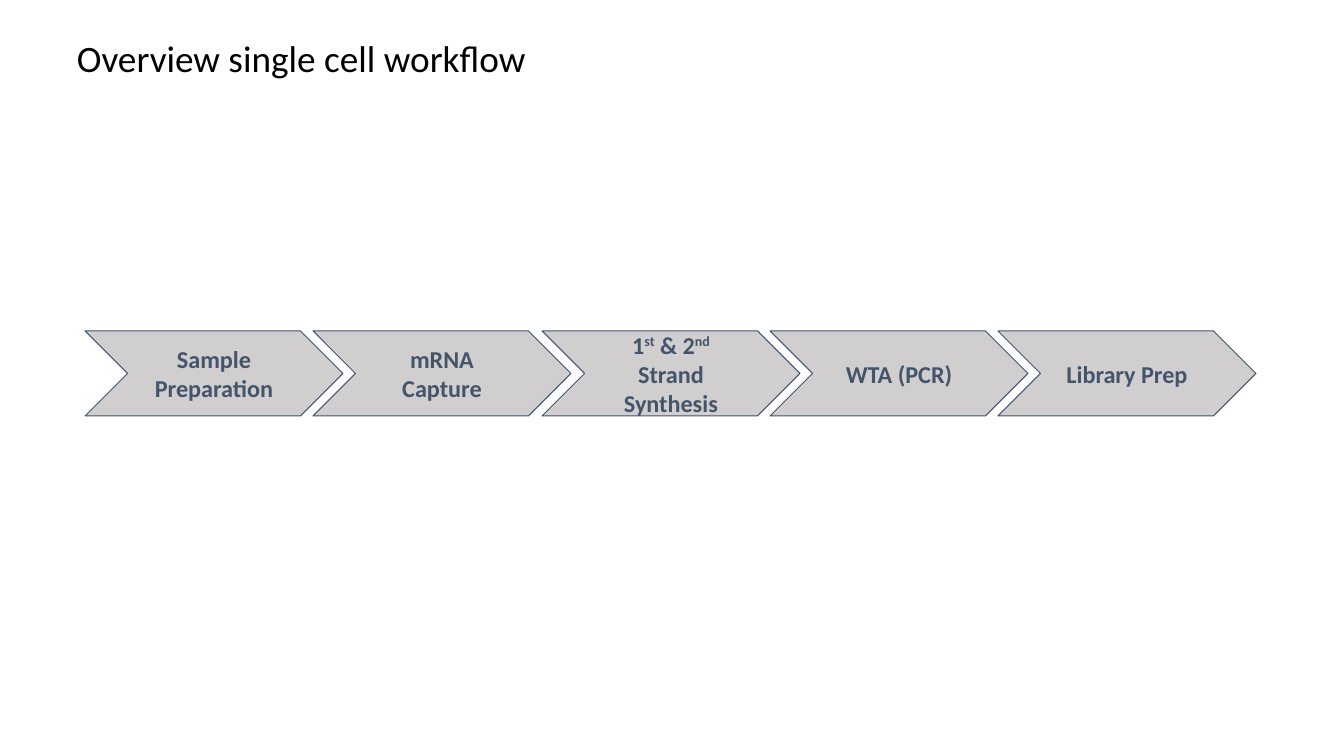
from pptx import Presentation, util as u
from pptx.dml.color import RGBColor
from pptx.enum import shapes, text

PX = 914400 / 100.8  # EMU in one px

BLACK = RGBColor(0x00, 0x00, 0x00)
SLATE = RGBColor(0x44, 0x54, 0x6A)
GREY = RGBColor(0xD0, 0xCE, 0xCE)


def px(*lengths):
    return [u.Emu(round(length * PX)) for length in lengths]


TITLE_FONT = {"name": "Calibri", "size": u.Pt(26.67), "bold": False}
STEP_FONT = {"name": "Calibri", "size": u.Pt(17.3), "bold": True}
TITLE_FRAME = {"word_wrap": True, "vertical_anchor": text.MSO_ANCHOR.MIDDLE}
STEP_INSETS = dict(zip(
    ("margin_left", "margin_top", "margin_right", "margin_bottom"),
    px(15, 13, 15, 13)))
STEP_FRAME = {**TITLE_FRAME, **STEP_INSETS}

# Each step is a list of (words, is superscript)
STEPS = [
    [("Sample Preparation", False)],
    [("mRNA Capture", False)],
    [("1", False), ("st", True), (" & 2", False), ("nd ", True),
     ("Strand Synthesis", False)],
    [("WTA (PCR)", False)],
    [("Library Prep", False)],
]
FIRST_LEFT, LAST_LEFT = 85, 998
STEP_TOP, STEP_WIDTH, STEP_HEIGHT = 331, 258, 85


def apply(target, formats):
    for name, value in formats.items():
        setattr(target, name, value)


def add_words(paragraph, words, formats, color, **marks):
    run = paragraph.add_run()
    run.text = words
    apply(run.font, formats)
    run.font.color.rgb = color
    for name, value in marks.items():
        run._r.get_or_add_rPr().set(name, value)


def add_title(slide, words):
    title = slide.shapes.add_textbox(*px(67, 20, 1210, 81))
    apply(title.text_frame, TITLE_FRAME)
    line = title.text_frame.paragraphs[0]
    line.line_spacing = 0.9
    add_words(line, words, TITLE_FONT, BLACK, kern="1200")


def add_step(slide, left, label):
    step = slide.shapes.add_shape(
        shapes.MSO_SHAPE.CHEVRON, *px(left, STEP_TOP, STEP_WIDTH, STEP_HEIGHT))
    step.shadow.inherit = False
    step.adjustments[0] = 0.5
    step.fill.solid()
    step.fill.fore_color.rgb = GREY
    step.line.color.rgb = SLATE
    step.line.width = u.Pt(0.75)
    apply(step.text_frame, STEP_FRAME)
    line = step.text_frame.paragraphs[0]
    line.alignment = text.PP_ALIGN.CENTER
    for words, superscript in label:
        marks = {"baseline": "30000"} if superscript else {}
        add_words(line, words, STEP_FONT, SLATE, **marks)


def main():
    deck = Presentation()
    deck.slide_width, deck.slide_height = px(1344, 756)
    slide = deck.slides.add_slide(deck.slide_layouts[6])

    # Heading
    add_title(slide, "Overview single cell workflow")

    # Workflow chevrons, evenly spread from left to right
    pitch = (LAST_LEFT - FIRST_LEFT) / (len(STEPS) - 1)
    for index, label in enumerate(STEPS):
        add_step(slide, round(FIRST_LEFT + index * pitch), label)

    deck.save("out.pptx")


if __name__ == "__main__":
    main()
